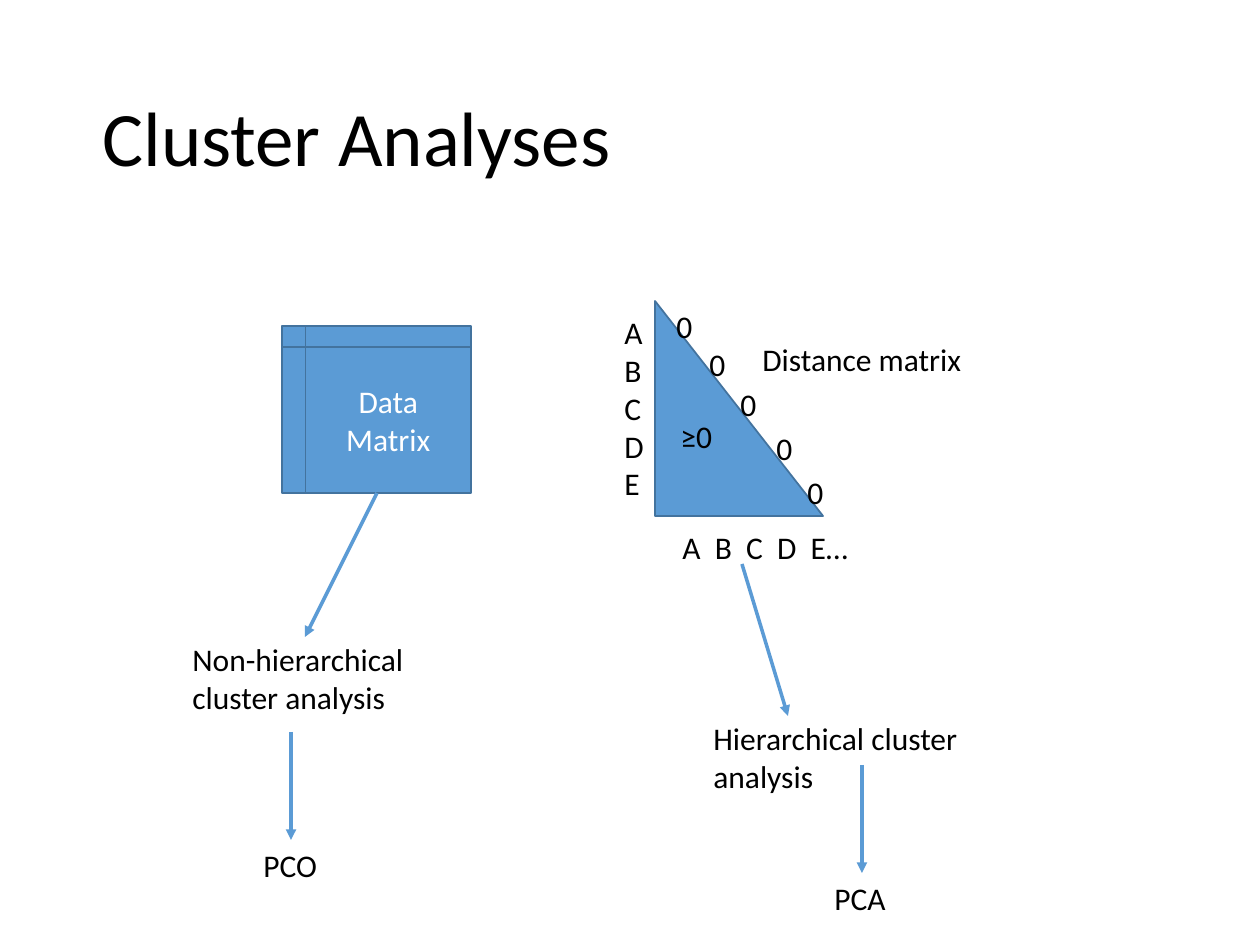
from pptx import Presentation
from pptx.dml.color import RGBColor
from pptx.enum.shapes import MSO_CONNECTOR, MSO_SHAPE
from pptx.enum.text import MSO_ANCHOR, PP_ALIGN
from pptx.oxml.ns import qn
from pptx.util import Emu, Pt
from lxml import etree

EMU_PER_PX = 914400 // 126
FONT = "Calibri"
COLORS = {"text": "000000", "fill": "5B9BD5", "edge": "43739E", "light": "FFFFFF"}
TRIANGLE = MSO_SHAPE.RIGHT_TRIANGLE
STORAGE = MSO_SHAPE.FLOWCHART_INTERNAL_STORAGE
STRAIGHT = MSO_CONNECTOR.STRAIGHT
MIDDLE, TOP = MSO_ANCHOR.MIDDLE, MSO_ANCHOR.TOP
CENTER, LEFT = PP_ALIGN.CENTER, PP_ALIGN.LEFT


def px(*lengths):
    """Turn pixel lengths into EMU."""
    return [Emu(length * EMU_PER_PX) for length in lengths]


def color(name):
    """Look up a named colour."""
    return RGBColor.from_string(COLORS[name])


def write(frame, wording, size=18, ink="text", align=LEFT, spacing=1.0):
    """Fill a text frame, one paragraph for each line of the wording."""
    frame.text = wording
    for paragraph in frame.paragraphs:
        formats = {"alignment": align, "line_spacing": spacing}
        for key, value in formats.items():
            setattr(paragraph, key, value)
        for run in paragraph.runs:
            for key, value in {"name": FONT, "size": Pt(size)}.items():
                setattr(run.font, key, value)
            run.font.color.rgb = color(ink)


def add_label(slide, wording, box, wrap=False, anchor=TOP, **style):
    """Add free-standing text."""
    frame = slide.shapes.add_textbox(*px(*box)).text_frame
    for key, value in {"word_wrap": wrap, "vertical_anchor": anchor}.items():
        setattr(frame, key, value)
    write(frame, wording, **style)


def add_matrix(slide, preset, box):
    """Add a filled and outlined matrix outline and return it."""
    matrix = slide.shapes.add_shape(preset, *px(*box))
    matrix.shadow.inherit = False
    matrix.fill.solid()
    matrix.fill.fore_color.rgb = color("fill")
    matrix.line.color.rgb = color("edge")
    matrix.line.width = Pt(1)
    return matrix


def add_arrow(slide, start, end):
    """Add a straight arrow from start to end."""
    arrow = slide.shapes.add_connector(STRAIGHT, *px(*start, *end))
    arrow.line.color.rgb = color("fill")
    arrow.line.width = Pt(2)
    etree.SubElement(arrow.line._get_or_add_ln(), qn("a:tailEnd"), type="triangle")
    etree.SubElement(arrow._element.spPr, qn("a:effectLst"))


def add_distance_matrix(slide):
    """Add the triangular matrix with its row, column and cell labels."""
    add_matrix(slide, TRIANGLE, (655, 301, 168, 215))
    add_label(slide, "A  B  C  D  E…", (670, 522, 195, 50))
    add_label(slide, "\n".join("ABCDE"), (612, 307, 45, 204))
    for left, top in ((664, 301), (697, 339), (728, 379), (764, 423), (795, 467)):
        add_label(slide, "0", (left, top, 42, 50))
    add_label(slide, "Distance matrix", (750, 334, 227, 50))
    add_label(slide, "≥0", (668, 411, 58, 50), wrap=True)


def add_data_matrix(slide):
    """Add the data matrix with its centred caption."""
    frame = add_matrix(slide, STORAGE, (282, 326, 189, 167)).text_frame
    frame.vertical_anchor = MIDDLE
    write(frame, "Data\vMatrix", ink="light", align=CENTER)


def add_branch(slide, source, target, analysis, corner, ordination):
    """Add the arrow to an analysis and the arrow on to its ordination."""
    left, top = corner
    stem, drop = left + 111, top + 98
    add_arrow(slide, source, target)
    add_label(slide, analysis, (left, top, 291, 89), wrap=True)
    ordination_name, shift, rise = ordination
    stem, drop = stem + shift, drop - rise
    add_arrow(slide, (stem, drop), (stem, drop + 108))
    add_label(slide, ordination_name, (stem - 40, drop + 108, 291, 50), wrap=True)


def main():
    """Build the slide and save it."""
    deck = Presentation()
    deck.slide_width, deck.slide_height = px(1260, 945)
    slide = deck.slides.add_slide(deck.slide_layouts[6])
    add_label(slide, "Cluster Analyses", (90, 50, 1086, 183), wrap=True,
              anchor=MIDDLE, size=44, spacing=0.9)
    add_distance_matrix(slide)
    add_data_matrix(slide)
    add_branch(slide, (377, 493), (305, 637), "Non-hierarchical cluster analysis",
               (180, 634), ("PCO", 0, 0))
    add_branch(slide, (742, 564), (788, 716), "Hierarchical cluster analysis",
               (701, 713), ("PCA", 50, 46))
    deck.save("out.pptx")


if __name__ == "__main__":
    main()
